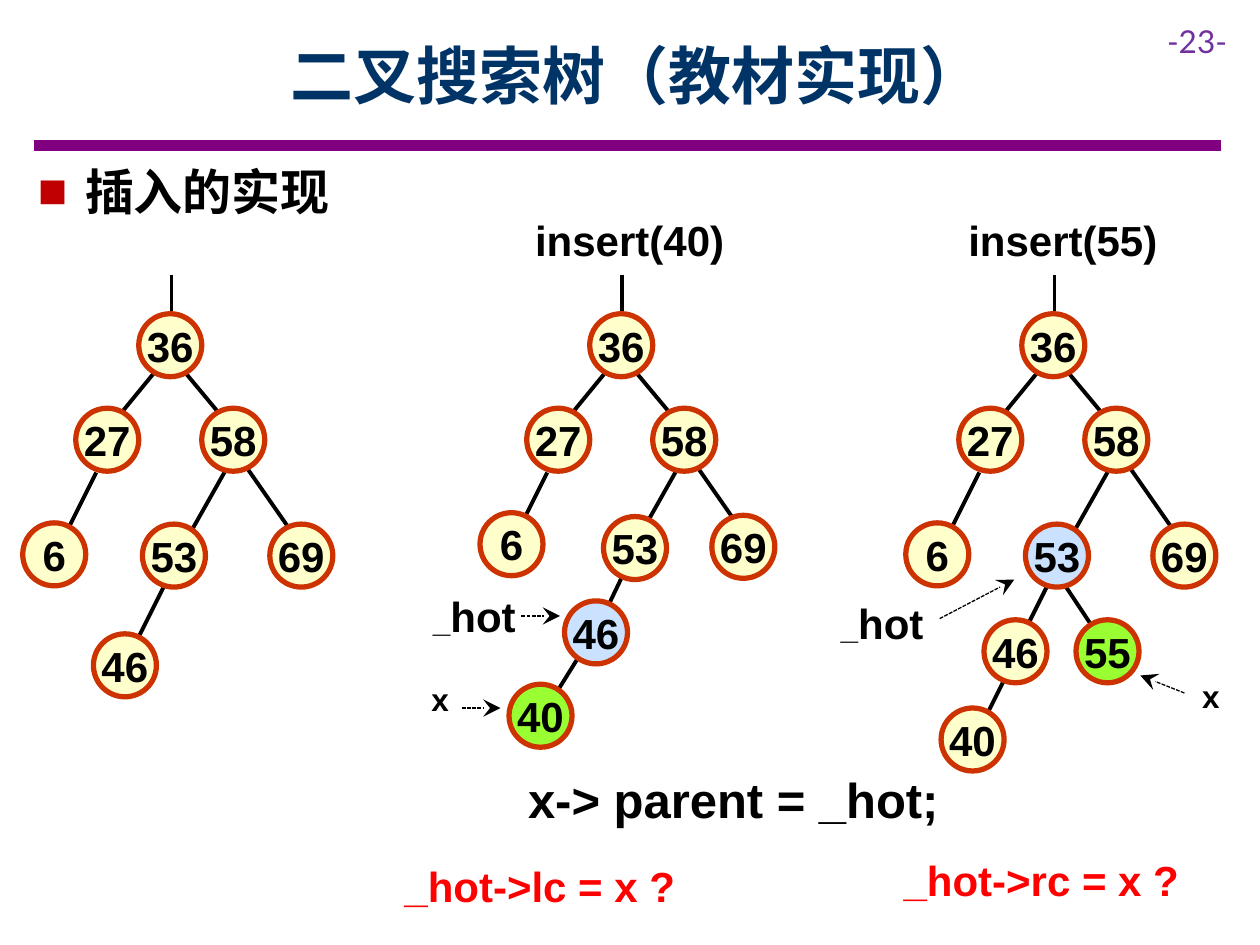
from lxml import etree
from pptx import Presentation
from pptx.dml.color import RGBColor
from pptx.enum import dml, shapes, text
from pptx.oxml import ns
from pptx.util import Pt

BLACK = RGBColor(0x00, 0x00, 0x00)
NAVY = RGBColor(0x00, 0x33, 0x66)
PURPLE = RGBColor(0x80, 0x00, 0x80)
VIOLET = RGBColor(0x70, 0x30, 0xA0)
CRIMSON = RGBColor(0xC0, 0x00, 0x00)
RED = RGBColor(0xFF, 0x00, 0x00)
RIM = RGBColor(0xCC, 0x33, 0x00)
CREAM = RGBColor(0xFF, 0xFF, 0xCC)
BLUE = RGBColor(0xCA, 0xE2, 0xFF)
GREEN = RGBColor(0x99, 0xFF, 0x33)
CJK = "Noto Sans CJK SC"
NODE = 36

deck = Presentation()
deck.slide_width, deck.slide_height = Pt(720), Pt(540)
page = deck.slides.add_slide(deck.slide_layouts[5])


def draw_line(x1, y1, x2, y2, color=BLACK, width=2.25):
    line = page.shapes.add_connector(
        shapes.MSO_CONNECTOR.STRAIGHT, Pt(x1), Pt(y1), Pt(x2), Pt(y2))
    line.line.color.rgb = color
    line.line.width = Pt(width)
    etree.SubElement(line._element.spPr, ns.qn("a:effectLst"))
    return line


def write_text(box, words, size, color=BLACK, font="Arial", bold=True):
    frame = box.text_frame
    frame.word_wrap = False
    frame.margin_left = frame.margin_right = frame.margin_top = frame.margin_bottom = 0
    frame.vertical_anchor = text.MSO_ANCHOR.MIDDLE
    para = frame.paragraphs[0]
    para.alignment = text.PP_ALIGN.CENTER
    para.font.name, para.font.size, para.font.bold = font, Pt(size), bold
    para.font.color.rgb = color
    span = para.add_run()
    span.text = words
    return para


draw_line(19.5, 83, 697.5, 83, PURPLE, 6)

title = page.shapes.title
title.left, title.top, title.width, title.height = Pt(65), Pt(6.5), Pt(598), Pt(72)
title_para = write_text(title, "二叉搜索树（教材实现）", 36, NAVY, CJK)

number = page.shapes.add_textbox(Pt(654), Pt(9), Pt(60), Pt(29))
write_text(number, "-23-", 18, VIOLET, "Lato", False)

heading = page.shapes.add_textbox(Pt(14.5), Pt(88.5), Pt(394.5), Pt(41))
heading_para = write_text(heading, "插入的实现", 28, BLACK, CJK)
heading.text_frame.word_wrap = True
heading.text_frame.margin_left = Pt(7.2)
heading_para.alignment = text.PP_ALIGN.LEFT
heading_para.space_after = Pt(6)
properties = heading_para._p.get_or_add_pPr()
properties.set("marL", str(Pt(27)))
properties.set("indent", str(Pt(-27)))
bullet_color = etree.Element(ns.qn("a:buClr"))
etree.SubElement(bullet_color, ns.qn("a:srgbClr"), val=str(CRIMSON))
bullet_font = etree.Element(ns.qn("a:buFont"), typeface="Arial")
bullet = etree.Element(ns.qn("a:buChar"), char="■")
defaults = properties.find(ns.qn("a:defRPr"))
for part in (bullet_color, bullet_font, bullet):
    defaults.addprevious(part)

for para in (title_para, heading_para):
    etree.SubElement(para.runs[0]._r.get_or_add_rPr(), ns.qn("a:ea"), typeface=CJK)

shared_edges = [
    (0, 157, 0, 187), (-7, 209.5, -36.5, 245.5), (5, 209.5, 35, 245.5),
    (-43, 270, -61, 306), (42.5, 266.5, 72.5, 309.5), (30.5, 269.5, 6.5, 312)]
shared_nodes = [("36", -18.7, 179.3, CREAM), ("27", -54.7, 233.3, CREAM),
                ("58", 17.3, 233.3, CREAM)]
trees = [
    (98, [(-3, 332.5, -21, 368.5)],
     [("6", -85, 298.8, CREAM), ("53", -16.6, 299.5, CREAM),
      ("69", 56.2, 299.5, CREAM), ("46", -44.6, 362.2, CREAM)]),
    (355.7, [(1.5, 326, -10, 350), (-22.3, 371, -37.4, 395.3)],
     [("6", -81.4, 293, CREAM), ("53", -10.8, 295.2, CREAM),
      ("69", 51.1, 294.5, CREAM), ("46", -33.1, 343.4, BLUE),
      ("40", -64.8, 391, GREEN)]),
    (602.6, [(-3, 332.5, -21, 368.5), (-25, 381, -43, 417), (0, 325.5, 30.5, 371.5)],
     [("6", -85, 298.8, CREAM), ("53", -16.6, 299.5, BLUE),
      ("69", 56.2, 299.5, CREAM), ("46", -40.3, 354.2, CREAM),
      ("40", -64.8, 404.6, CREAM), ("55", 12.3, 354.2, GREEN)]),
]
for axis, edges, nodes in trees:
    for x1, y1, x2, y2 in shared_edges + edges:
        draw_line(axis + x1, y1, axis + x2, y2)
    for key, x, y, fill in shared_nodes + nodes:
        node = page.shapes.add_shape(
            shapes.MSO_SHAPE.OVAL, Pt(axis + x), Pt(y), Pt(NODE), Pt(NODE))
        node.shadow.inherit = False
        node.fill.solid()
        node.fill.fore_color.rgb = fill
        node.line.color.rgb = RIM
        node.line.width = Pt(3)
        write_text(node, key, 24)

pointers = [(298, 352, 320, 352), (264, 404.6, 286, 404.6),
            (537, 353.5, 579.6, 331.2), (676.8, 396, 651.6, 386)]
for ends in pointers:
    arrow = draw_line(*ends, width=0.75)
    arrow.line.dash_style = dml.MSO_LINE.SQUARE_DOT
    etree.SubElement(arrow.line._get_or_add_ln(), ns.qn("a:tailEnd"),
                     type="stealth", w="lg", len="lg")

labels = [
    ("insert(40)", 299.8, 128, 120, 17.5, 24, BLACK),
    ("insert(55)", 547.3, 128, 120, 17.5, 24, BLACK),
    ("x", 232, 389.5, 39, 19.5, 18, BLACK),
    ("x", 672.5, 388, 39, 19.5, 18, BLACK),
    ("x-> parent = _hot;", 294, 437, 250, 39.5, 28, BLACK),
    ("_hot->lc = x ?", 183.5, 486.5, 250, 39.5, 24, RED),
    ("_hot->rc = x ?", 470, 483, 250, 39.5, 24, RED),
]
for words, left, top, width, height, size, color in labels:
    label = page.shapes.add_textbox(Pt(left), Pt(top), Pt(width), Pt(height))
    write_text(label, words, size, color)

for left, top in [(241, 342), (474, 346.3)]:
    hot = page.shapes.add_textbox(Pt(left), Pt(top), Pt(60), Pt(19.5))
    hot_para = write_text(hot, "_", 24)
    hot_para.runs[0].font.size = Pt(18)
    span = hot_para.add_run()
    span.text = "hot"

deck.save("out.pptx")
